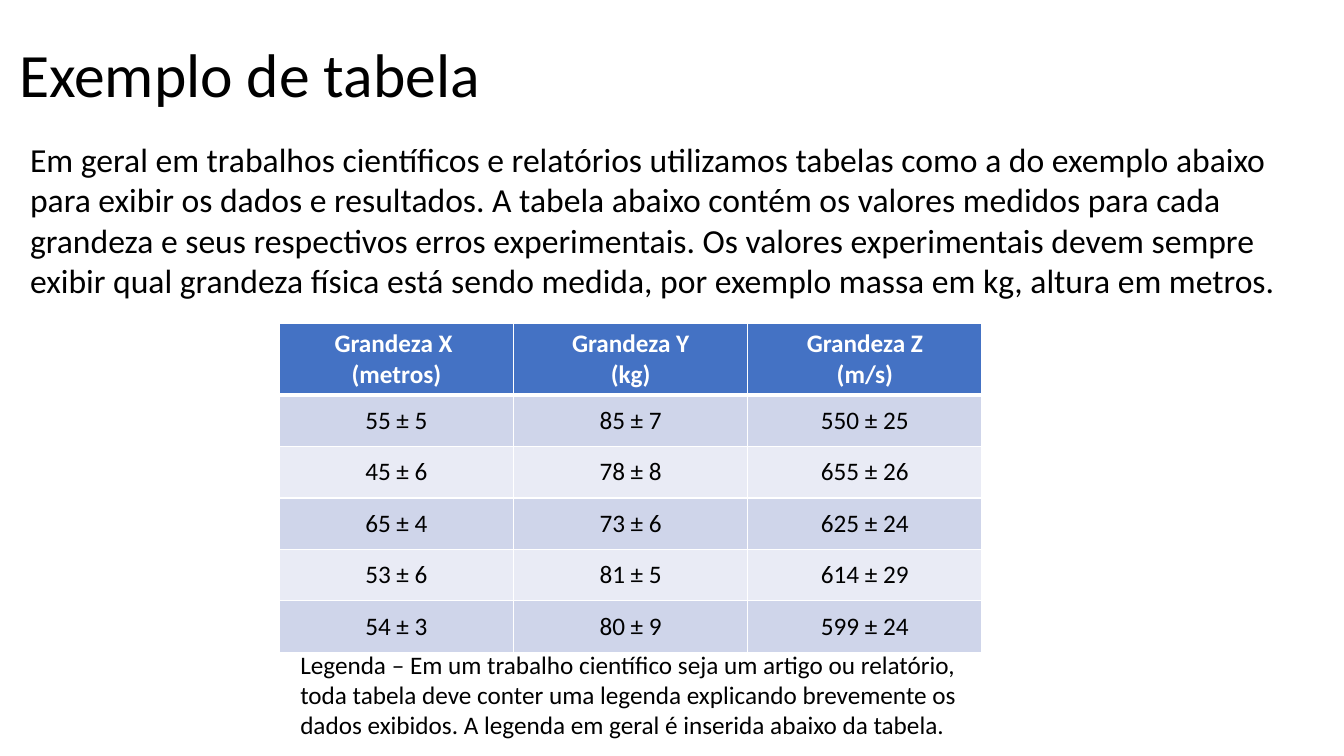
import pptx
import pptx.dml.color
import pptx.enum.text
import pptx.oxml
import pptx.oxml.ns
import pptx.util
from pptx.util import Inches

FONT = "Calibri"
COLORS = {
    "text": "000000",
    "white": "FFFFFF",
    "header": "4472C4",
    "odd_row": "CFD5EA",
    "even_row": "E9EBF5",
}
INTRO = (
    "Em geral em trabalhos científicos e relatórios utilizamos tabelas como a do "
    "exemplo abaixo para exibir os dados e resultados. A tabela abaixo contém os "
    "valores medidos para cada grandeza e seus respectivos erros experimentais. Os "
    "valores experimentais devem sempre exibir qual grandeza física está sendo "
    "medida, por exemplo massa em kg, altura em metros."
)
CAPTION = (
    "Legenda – Em um trabalho científico seja um artigo ou relatório, toda tabela "
    "deve conter uma legenda explicando brevemente os dados exibidos. A legenda em "
    "geral é inserida abaixo da tabela."
)
MEASUREMENTS = [
    ["Grandeza X \n(metros)", "Grandeza Y\n(kg)", "Grandeza Z\n(m/s)"],
    ["55 ± 5", "85 ± 7", "550 ± 25"],
    ["45 ± 6", "78 ± 8", "655 ± 26"],
    ["65 ± 4", "73 ± 6", "625 ± 24"],
    ["53 ± 6", "81 ± 5", "614 ± 29"],
    ["54 ± 3", "80 ± 9", "599 ± 24"],
]


def color(name):
    return pptx.dml.color.RGBColor.from_string(COLORS[name])


def write(frame, text, size, color_name="text", bold=False, align="LEFT"):
    frame.text = text
    for para in frame.paragraphs:
        para.alignment = getattr(pptx.enum.text.PP_ALIGN, align)
        for span in para.runs:
            span.font.name = FONT
            span.font.size = pptx.util.Pt(size)
            span.font.bold = bold
            span.font.color.rgb = color(color_name)


def add_title(page, text):
    title = page.shapes.title
    title.left, title.top = Inches(0.09), Inches(0.23)
    title.width, title.height = Inches(9.32), Inches(1.08)
    frame = title.text_frame
    write(frame, text, 44)
    frame.auto_size = pptx.enum.text.MSO_AUTO_SIZE.NONE
    frame.vertical_anchor = pptx.enum.text.MSO_ANCHOR.MIDDLE
    frame.paragraphs[0].line_spacing = 0.9


def add_text(page, left, top, width, height, text, size):
    box = page.shapes.add_textbox(
        Inches(left), Inches(top), Inches(width), Inches(height)
    )
    frame = box.text_frame
    frame.word_wrap = True
    frame.auto_size = pptx.enum.text.MSO_AUTO_SIZE.SHAPE_TO_FIT_TEXT
    write(frame, text, size)


def add_borders(cell, widths):
    properties = cell._tc.get_or_add_tcPr()
    for side, width in widths.items():
        properties.append(pptx.oxml.parse_xml(
            f'<a:ln{side} {pptx.oxml.ns.nsdecls("a")} w="{pptx.util.Pt(width)}">'
            f'<a:solidFill><a:srgbClr val="{COLORS["white"]}"/></a:solidFill>'
            f'</a:ln{side}>'
        ))


def format_cell(cell, text, row_number):
    is_header = row_number == 0
    top_width = 3 if row_number == 1 else 1
    bottom_width = 3 if is_header else 1
    add_borders(cell, {"L": 1, "R": 1, "T": top_width, "B": bottom_width})
    if is_header:
        fill_name = "header"
    else:
        fill_name = "odd_row" if row_number % 2 else "even_row"
    cell.fill.solid()
    cell.fill.fore_color.rgb = color(fill_name)
    cell.vertical_anchor = pptx.enum.text.MSO_ANCHOR.MIDDLE
    text_color = "white" if is_header else "text"
    write(cell.text_frame, text, 18, text_color, is_header, "CENTER")


def add_measurements(page, rows):
    table = page.shapes.add_table(
        len(rows), len(rows[0]),
        Inches(2.77), Inches(3.21), Inches(6.97), Inches(3.24),
    ).table
    for row_number, values in enumerate(rows):
        table.rows[row_number].height = Inches(0.51 if row_number else 0.64)
        for column_number, value in enumerate(values):
            format_cell(table.cell(row_number, column_number), value, row_number)


def main():
    deck = pptx.Presentation()
    deck.slide_width, deck.slide_height = Inches(13.33), Inches(7.5)
    page = deck.slides.add_slide(deck.slide_layouts[5])
    add_title(page, "Exemplo de tabela")
    add_measurements(page, MEASUREMENTS)
    add_text(page, 2.88, 6.39, 7.16, 1.01, CAPTION, 18)
    add_text(page, 0.2, 1.33, 12.9, 1.72, INTRO, 24)
    deck.save("out.pptx")


if __name__ == "__main__":
    main()
